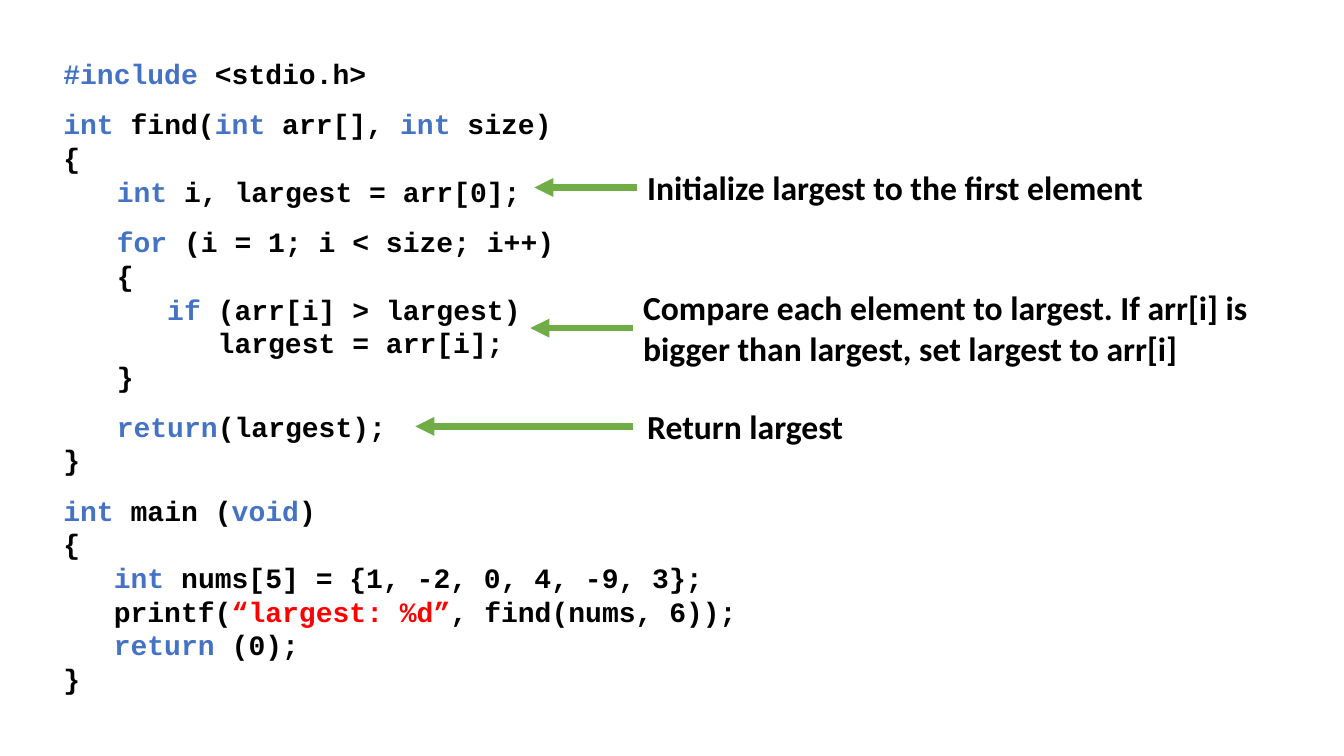
from lxml.etree import SubElement
from pptx import Presentation
from pptx.dml.color import RGBColor
from pptx.enum.shapes import MSO_CONNECTOR
from pptx.enum.text import MSO_AUTO_SIZE
from pptx.oxml.ns import qn
from pptx.util import Inches, Pt

BLACK = RGBColor(0x00, 0x00, 0x00)
BLUE = RGBColor(0x44, 0x72, 0xC4)
RED = RGBColor(0xFF, 0x00, 0x00)
GREEN = RGBColor(0x70, 0xAD, 0x47)

presentation = Presentation()
presentation.slide_width = Inches(13.33)
presentation.slide_height = Inches(7.5)
slide = presentation.slides.add_slide(presentation.slide_layouts[6])


def add_text(lines, left, top, width, height, font="Calibri", size=24,
             line_spacing=None, margin_top=0.05):
    shape = slide.shapes.add_textbox(
        Inches(left), Inches(top), Inches(width), Inches(height))
    frame = shape.text_frame
    frame.word_wrap = True
    frame.auto_size = MSO_AUTO_SIZE.SHAPE_TO_FIT_TEXT
    frame.margin_top = Inches(margin_top)
    for index, (space_before, runs) in enumerate(lines):
        paragraph = frame.paragraphs[0] if index == 0 else frame.add_paragraph()
        paragraph.space_before = Pt(space_before)
        if line_spacing:
            paragraph.line_spacing = Pt(line_spacing)
        for text, color in runs:
            run = paragraph.add_run()
            run.text = text
            run.font.name = font
            run.font.size = Pt(size)
            run.font.bold = True
            run.font.color.rgb = color
    return shape


program = [
    (0, [("#include ", BLUE), ("<stdio.h>", BLACK)]),
    (12, [("int ", BLUE), ("find(", BLACK), ("int ", BLUE), ("arr[], ", BLACK),
          ("int", BLUE), (" size)", BLACK)]),
    (0, [("{", BLACK)]),
    (192, [("}", BLACK)]),
    (12, [("int", BLUE), (" main (", BLACK), ("void", BLUE), (")", BLACK)]),
    (0, [("{", BLACK)]),
    (0, [("   int ", BLUE), ("nums[5] = {1, -2, 0, 4, -9, 3};", BLACK)]),
    (0, [("   printf(", BLACK), ("“largest: %d”", RED),
         (", find(nums, 6));", BLACK)]),
    (0, [("   return", BLUE), (" (0);", BLACK)]),
    (0, [("}", BLACK)]),
]
find_body = [
    (0, [("int ", BLUE), ("i, largest = arr[0];", BLACK)]),
    (12, [("for", BLUE), (" (i = 1; i < size; i++)", BLACK)]),
    (0, [("{", BLACK)]),
    (0, [("   if", BLUE), (" (arr[i] > largest)", BLACK)]),
    (0, [("      largest = arr[i];", BLACK)]),
    (0, [("}", BLACK)]),
    (12, [("return", BLUE), ("(largest);", BLACK)]),
]
for code, box in [(program, (0.53, 0.48, 7.54, 6.5)),
                  (find_body, (1.06, 1.65, 4.82, 2.79))]:
    add_text(code, *box, font="Courier New", size=20, line_spacing=24,
             margin_top=0.08)

notes = [
    ("Initialize largest to the first element", (6.32, 1.61, 5.71, 0.5), 6.32, 5.3),
    ("Compare each element to largest. If arr[i] is bigger than largest, "
     "set largest to arr[i]", (6.28, 2.8, 6.39, 0.91), 6.28, 5.26),
    ("Return largest", (6.32, 3.98, 5.71, 0.5), 6.28, 4.12),
]
for text, box, arrow_start, arrow_tip in notes:
    note = add_text([(0, [(text, BLACK)])], *box)
    left, top, width, height = box
    middle = Inches(top + height / 2)
    arrow = slide.shapes.add_connector(
        MSO_CONNECTOR.STRAIGHT, Inches(arrow_start), middle,
        Inches(arrow_tip), middle)
    if arrow_start == left:
        arrow.begin_connect(note, 1)
    arrow.line.color.rgb = GREEN
    arrow.line.width = Pt(4.5)
    SubElement(arrow.line._get_or_add_ln(), qn("a:tailEnd"), type="triangle")
    SubElement(arrow._element.spPr, qn("a:effectLst"))

presentation.save("out.pptx")
